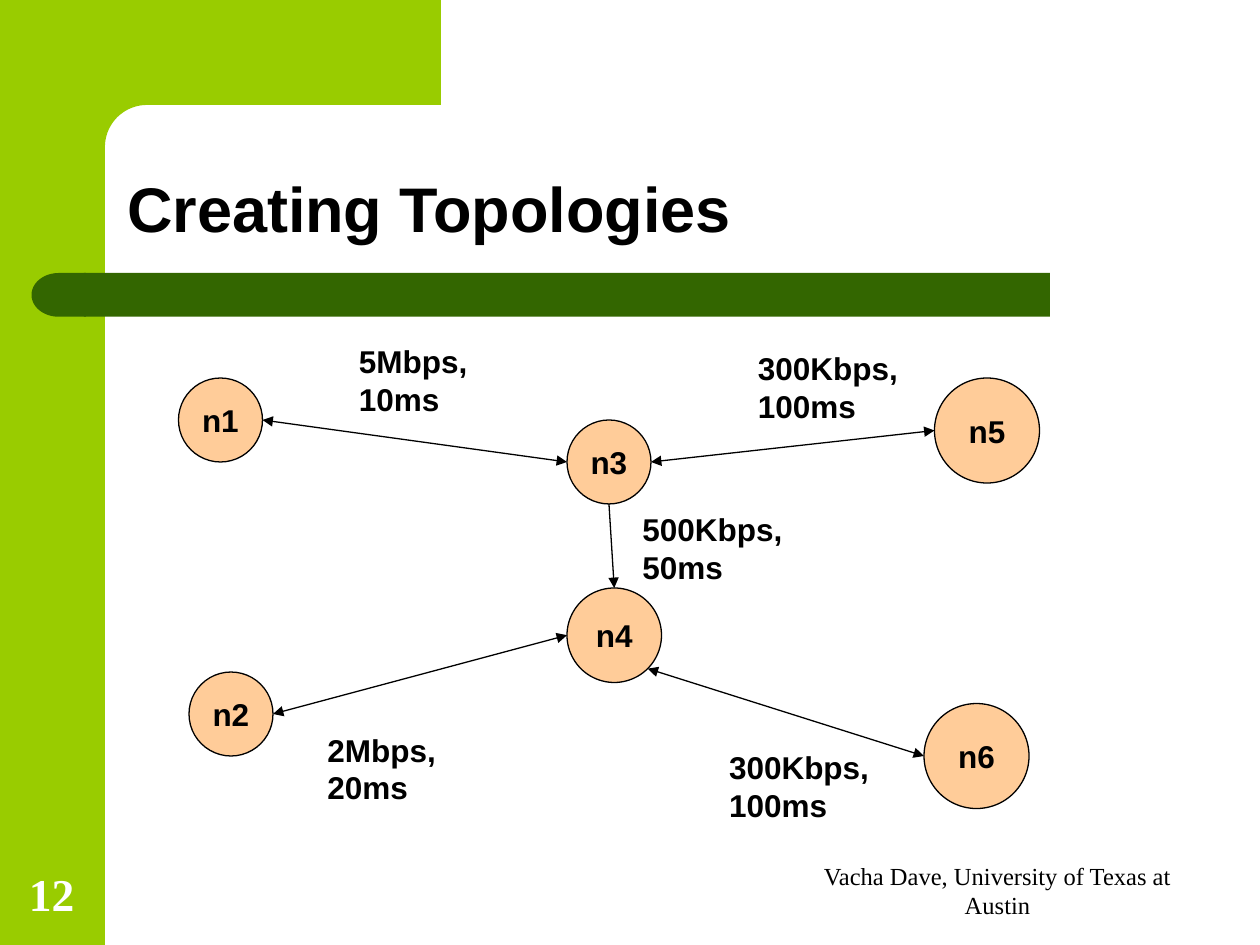
from math import cos, radians, sin

from lxml.etree import SubElement
from pptx import Presentation
from pptx.dml.color import RGBColor
from pptx.enum.shapes import MSO_CONNECTOR, MSO_SHAPE
from pptx.enum.text import MSO_ANCHOR, MSO_AUTO_SIZE, PP_ALIGN
from pptx.oxml.ns import qn
from pptx.util import Pt

BLACK, WHITE = "000000", "FFFFFF"
LIME, GREEN, PEACH = "99CC00", "336600", "FFCC99"
RIGHT, LOWER_RIGHT, BOTTOM, LEFT, TOP = 0, 45, 90, 180, 270

NODES = {
    "n1": (102, 216, 48),
    "n4": (324, 336, 54),
    "n2": (108, 384, 48),
    "n5": (534, 216, 60),
    "n6": (528, 402, 60),
    "n3": (324, 240, 48),
}
LINKS = [
    ("n2", RIGHT, "n4", LEFT, True),
    ("n4", LOWER_RIGHT, "n6", LEFT, True),
    ("n1", RIGHT, "n3", LEFT, True),
    ("n3", BOTTOM, "n4", TOP, False),
    ("n3", RIGHT, "n5", LEFT, True),
]
LABELS = [
    (198, 192, 78, ["5Mbps,", "10ms"]),
    (180, 414, 78, ["2Mbps,", "20ms"]),
    (426, 196, 96, ["300Kbps,", "100ms"]),
    (409.5, 423.8, 96, ["300Kbps,", "100ms"]),
    (360, 288, 96, ["500Kbps,", "50ms"]),
]


def rgb(color):
    return RGBColor.from_string(color)


def paint(shape, fill, line=None):
    shape.shadow.inherit = False
    shape.fill.solid()
    shape.fill.fore_color.rgb = rgb(fill)
    if line:
        shape.line.color.rgb = rgb(line)
        shape.line.width = Pt(0.75)
    else:
        shape.line.fill.background()


def add_preset(page, kind, left, top, width, height, fill, line=None):
    shape = page.shapes.add_shape(kind, Pt(left), Pt(top), Pt(width), Pt(height))
    paint(shape, fill, line)
    return shape


def write(shape, lines, size, name="Arial", color=BLACK, bold=True,
          align=PP_ALIGN.LEFT, anchor=MSO_ANCHOR.TOP, wrap=False):
    frame = shape.text_frame
    frame.text = "\n".join(lines)
    frame.word_wrap = wrap
    frame.vertical_anchor = anchor
    for para in frame.paragraphs:
        para.alignment = align
        font = para.font
        font.size, font.name, font.bold = Pt(size), name, bold
        font.color.rgb = rgb(color)
    return frame


def add_text(page, left, top, width, height, lines, size, **style):
    box = page.shapes.add_textbox(Pt(left), Pt(top), Pt(width), Pt(height))
    return write(box, lines, size, **style)


def add_corner(page):
    center, radius = 84, 24
    arc = [(center + radius * cos(radians(angle)), center + radius * sin(radians(angle)))
           for angle in range(270, 179, -5)]
    points = [(252, 0), (252, 60), *arc, (60, 92), (36, 92)]
    builder = page.shapes.build_freeform(Pt(36), Pt(0))
    builder.add_line_segments([(Pt(x), Pt(y)) for x, y in points])
    paint(builder.convert_to_shape(), LIME)


def add_frame(page):
    add_preset(page, MSO_SHAPE.RECTANGLE, 0, 0, 60, 540, LIME)
    add_corner(page)
    add_preset(page, MSO_SHAPE.RECTANGLE, 48, 156, 552, 25, GREEN)
    cap = add_preset(page, MSO_SHAPE.FLOWCHART_DELAY, 18, 156, 31, 25, GREEN)
    cap.rotation = 180


def add_node(page, name):
    left, top, size = NODES[name]
    node = add_preset(page, MSO_SHAPE.OVAL, left, top, size, size, PEACH, BLACK)
    write(node, [name], 18, align=PP_ALIGN.CENTER, anchor=MSO_ANCHOR.MIDDLE)


def rim_point(name, angle):
    left, top, size = NODES[name]
    radius = size / 2
    return (Pt(left + radius + radius * cos(radians(angle))),
            Pt(top + radius + radius * sin(radians(angle))))


def add_link(page, source, source_angle, target, target_angle, both_ways):
    link = page.shapes.add_connector(MSO_CONNECTOR.STRAIGHT,
                                     *rim_point(source, source_angle),
                                     *rim_point(target, target_angle))
    link.line.color.rgb = rgb(BLACK)
    link.line.width = Pt(0.75)
    line = link.line._get_or_add_ln()
    for end in ["a:headEnd", "a:tailEnd"] if both_ways else ["a:tailEnd"]:
        SubElement(line, qn(end), type="triangle")
    SubElement(link._element.spPr, qn("a:effectLst"))


def main():
    deck = Presentation()
    deck.slide_width, deck.slide_height = Pt(720), Pt(540)
    page = deck.slides.add_slide(deck.slide_layouts[6])

    add_frame(page)
    title = add_text(page, 65.5, 65.5, 613, 78.5, ["Creating Topologies"], 36,
                     anchor=MSO_ANCHOR.BOTTOM, wrap=True)
    title.paragraphs[0].line_spacing = 0.9

    for name in NODES:
        add_node(page, name)
    for link in LINKS:
        add_link(page, *link)
    for left, top, width, lines in LABELS:
        label = add_text(page, left, top, width, 50.5, lines, 18)
        label.auto_size = MSO_AUTO_SIZE.SHAPE_TO_FIT_TEXT

    add_text(page, 456, 492, 228, 37, ["Vacha Dave, University of Texas at Austin"], 14,
             name="Times New Roman", bold=False, align=PP_ALIGN.CENTER,
             anchor=MSO_ANCHOR.BOTTOM, wrap=True)
    add_text(page, 6.5, 492, 46, 37.5, ["12"], 26, name="Times New Roman", color=WHITE,
             align=PP_ALIGN.CENTER, anchor=MSO_ANCHOR.BOTTOM, wrap=True)
    deck.save("out.pptx")


if __name__ == "__main__":
    main()
